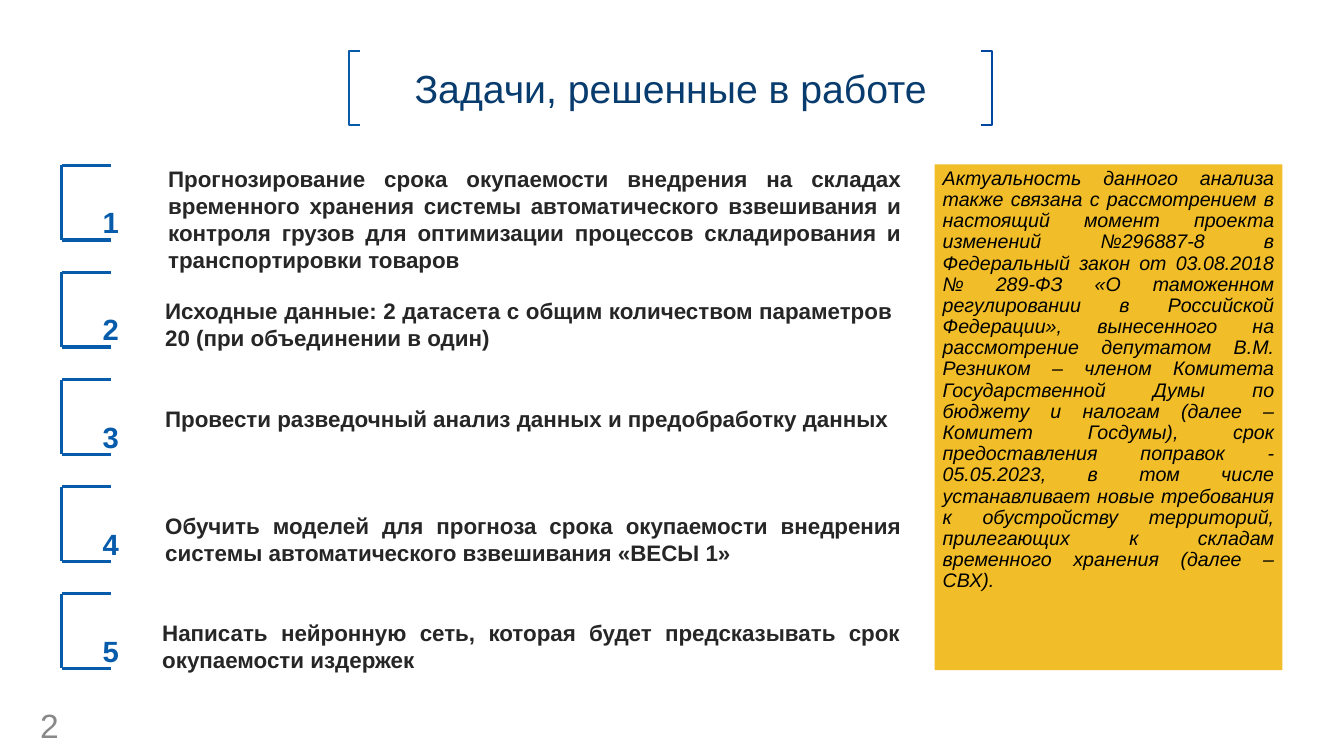
from dataclasses import dataclass

from lxml import etree
from pptx import Presentation
from pptx.dml.color import RGBColor
from pptx.enum.shapes import MSO_CONNECTOR, MSO_SHAPE
from pptx.enum.text import MSO_ANCHOR, MSO_AUTO_SIZE, PP_ALIGN
from pptx.oxml.ns import qn
from pptx.util import Inches, Pt

STRAIGHT = MSO_CONNECTOR.STRAIGHT
RECT = MSO_SHAPE.RECTANGLE
TOP, MIDDLE = MSO_ANCHOR.TOP, MSO_ANCHOR.MIDDLE
FIXED, GROW = MSO_AUTO_SIZE.NONE, MSO_AUTO_SIZE.SHAPE_TO_FIT_TEXT
LEFT, CENTER, JUSTIFY = PP_ALIGN.LEFT, PP_ALIGN.CENTER, PP_ALIGN.JUSTIFY

WIDTH, HEIGHT = Inches(13.33), Inches(7.5)


@dataclass(frozen=True)
class Theme:
    font: str = "Arial"
    title: str = "093C6E"
    blue: str = "065CAB"
    deep: str = "0046A2"
    text: str = "262626"
    black: str = "000000"
    grey: str = "898989"
    gold: str = "F1BE29"
    white: str = "FFFFFF"
    title_size: float = 28
    task_size: float = 16
    note_size: float = 14
    page_size: float = 24
    mark_size: float = 36
    thin: float = 1.3
    thick: float = 2.25


THEME = Theme()

# Places are in percent of the slide's width and height
TITLE_BOX = (25.96, 6.8, 47.86, 9.73)
HOOK = 0.86
NOTE_BOX = (69.54, 21.73, 25.88, 66.93)
PAGE_BOX = (2.25, 93.87, 4.65, 4)
ROW_TOP, ROW_STEP = 21.87, 14.17
MARK_LEFT, MARK_WIDTH, MARK_HEIGHT = 4.58, 3.68, 9.87
NUM_LEFT, NUM_DROP, NUM_WIDTH, NUM_HEIGHT = 6.9, 3.73, 8.85, 6.67

# Left, drop below the row's top, width, height, wording
TASKS = [
    (11.78, -0.67, 56.04, 16.8,
     "Прогнозирование срока окупаемости внедрения на складах временного "
     "хранения системы автоматического взвешивания и контроля грузов для "
     "оптимизации процессов складирования и транспортировки товаров"),
    (11.55, 2.67, 55.59, 9.6,
     "Исходные данные: 2 датасета с общим количеством параметров 20 "
     "(при объединении в один)"),
    (11.55, 2.67, 56.26, 6,
     "Провести разведочный анализ данных и предобработку данных"),
    (11.55, 2.67, 56.26, 9.6,
     "Обучить моделей для прогноза срока окупаемости внедрения системы "
     "автоматического взвешивания «ВЕСЫ 1»"),
    (11.33, 2.67, 56.41, 9.6,
     "Написать нейронную сеть, которая будет предсказывать срок "
     "окупаемости издержек"),
]
NOTE = (
    "Актуальность данного анализа также связана с рассмотрением в настоящий "
    "момент проекта изменений №296887-8 в Федеральный закон от 03.08.2018 "
    "№ 289-ФЗ «О таможенном регулировании в Российской Федерации», "
    "вынесенного на рассмотрение депутатом В.М. Резником – членом Комитета "
    "Государственной Думы по бюджету и налогам (далее – Комитет Госдумы), "
    "срок предоставления поправок - 05.05.2023, в том числе устанавливает "
    "новые требования к обустройству территорий, прилегающих к складам "
    "временного хранения (далее – СВХ)."
)


def point(x, y):
    return round(WIDTH * x / 100), round(HEIGHT * y / 100)


def place(box):
    return *point(*box[:2]), *point(*box[2:])


def color(name):
    return RGBColor.from_string(name)


def write(shape, text, size, tint, align=LEFT, anchor=TOP, fit=FIXED,
          bold=False, italic=False):
    frame = shape.text_frame
    frame.text = text
    frame.word_wrap = True
    frame.auto_size = fit
    frame.vertical_anchor = anchor
    para = frame.paragraphs[0]
    para.alignment = align
    font = para.runs[0].font
    font.name, font.size = THEME.font, Pt(size)
    font.bold, font.italic = bold, italic
    font.color.rgb = color(tint)
    return para


def label(slide, box, text, size, tint, **style):
    shape = slide.shapes.add_textbox(*place(box))
    return write(shape, text, size, tint, **style)


def stroke(slide, start, end):
    line = slide.shapes.add_connector(STRAIGHT, *point(*start), *point(*end))
    line.line.color.rgb = color(THEME.blue)
    line.line.width = Pt(THEME.thick)
    etree.SubElement(line._element.spPr, qn("a:effectLst"))


def bracket(slide, edge, inner, tint):
    top = TITLE_BOX[1]
    base = top + TITLE_BOX[3]
    pen = slide.shapes.build_freeform(*point(inner, top))
    pen.add_line_segments(
        [point(edge, top), point(edge, base), point(inner, base)], close=False)
    shape = pen.convert_to_shape()
    shape.shadow.inherit = False
    shape.fill.background()
    shape.line.color.rgb = color(tint)
    shape.line.width = Pt(THEME.thin)


def header(slide, text):
    title = slide.shapes.title
    title.left, title.top, title.width, title.height = place(TITLE_BOX)
    title.fill.solid()
    title.fill.fore_color.rgb = color(THEME.white)
    write(title, text, THEME.title_size, THEME.title, CENTER, MIDDLE)
    left = TITLE_BOX[0]
    right = left + TITLE_BOX[2]
    bracket(slide, left, left + HOOK, THEME.blue)
    bracket(slide, right, right - HOOK, THEME.deep)


def marker(slide, top, number):
    base, right = top + MARK_HEIGHT, MARK_LEFT + MARK_WIDTH
    stroke(slide, (MARK_LEFT, top), (MARK_LEFT, base))
    for y in (top, base):
        stroke(slide, (MARK_LEFT, y), (right, y))
    box = (NUM_LEFT, top + NUM_DROP, NUM_WIDTH, NUM_HEIGHT)
    para = label(slide, box, str(number), THEME.mark_size, THEME.blue,
                 fit=GROW, bold=True)
    # Raised digit
    para.runs[0]._r.get_or_add_rPr().set("baseline", "30000")


def task(slide, top, left, drop, width, height, text):
    para = label(slide, (left, top + drop, width, height), text,
                 THEME.task_size, THEME.text, align=JUSTIFY, fit=GROW,
                 bold=True)
    para.space_after = Pt(6)


def panel(slide, text):
    shape = slide.shapes.add_shape(RECT, *place(NOTE_BOX))
    shape.shadow.inherit = False
    shape.fill.solid()
    shape.fill.fore_color.rgb = color(THEME.gold)
    shape.line.fill.background()
    frame = shape.text_frame
    frame.margin_left = frame.margin_right = Inches(0.08)
    frame.margin_top = frame.margin_bottom = Inches(0.04)
    para = write(shape, text, THEME.note_size, THEME.black, JUSTIFY,
                 italic=True)
    para.line_spacing = 0.9


def main():
    deck = Presentation()
    deck.slide_width, deck.slide_height = WIDTH, HEIGHT
    slide = deck.slides.add_slide(deck.slide_layouts[5])

    header(slide, "Задачи, решенные в работе")
    panel(slide, NOTE)

    # Numbered tasks
    for index, item in enumerate(TASKS):
        top = ROW_TOP + index * ROW_STEP
        marker(slide, top, index + 1)
        task(slide, top, *item)

    # Page number
    label(slide, PAGE_BOX, "2", THEME.page_size, THEME.grey, anchor=MIDDLE)
    deck.save("out.pptx")


if __name__ == "__main__":
    main()
